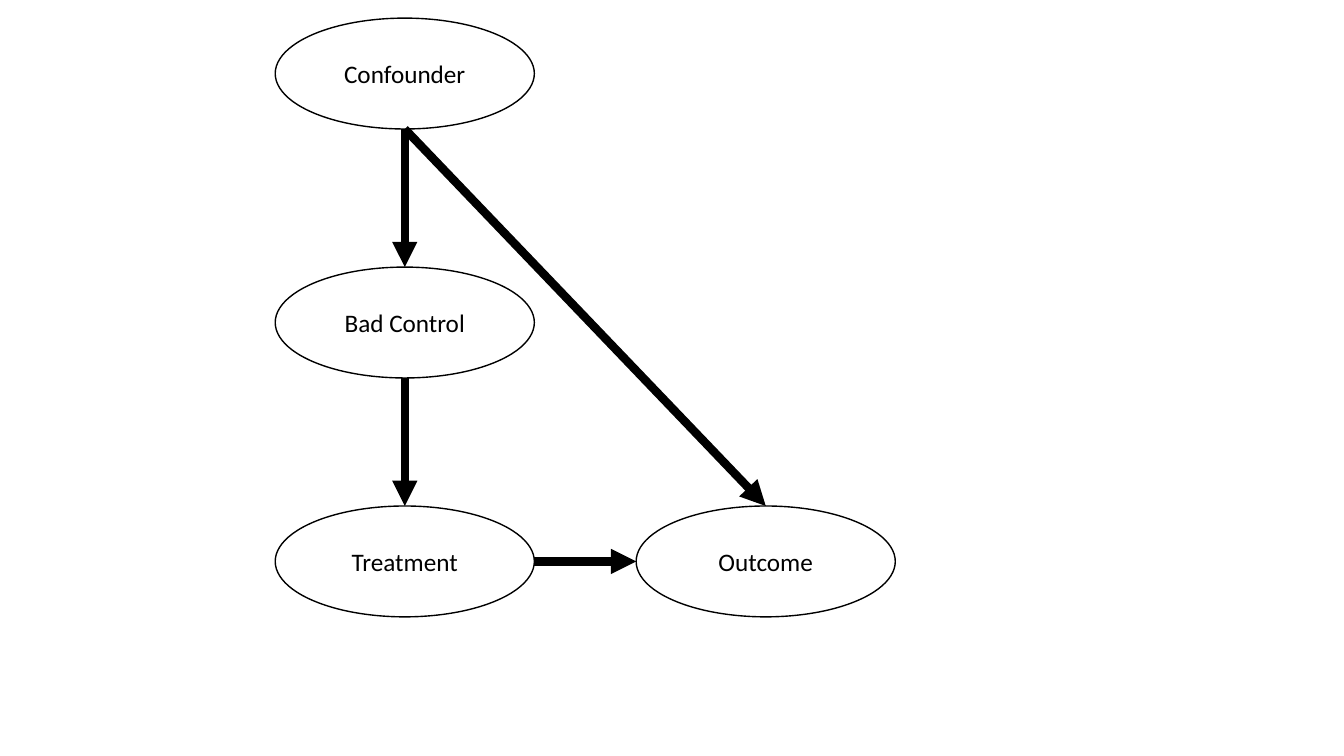
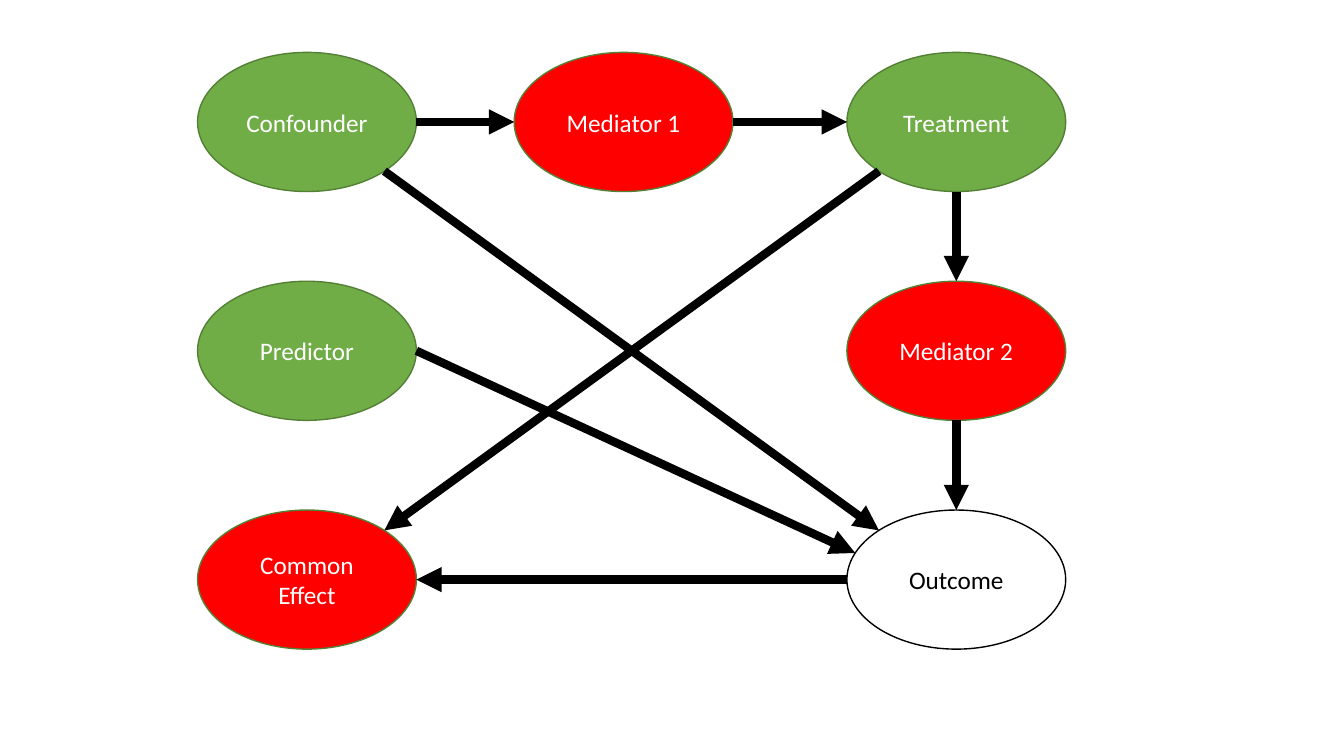
"""Build two causal diagrams of labelled ovals joined by arrows."""
from math import cos, pi, sin

from lxml.etree import SubElement
from pptx import Presentation
from pptx.dml.color import RGBColor
from pptx.enum.shapes import MSO_CONNECTOR, MSO_SHAPE
from pptx.enum.text import MSO_ANCHOR, PP_ALIGN
from pptx.oxml.ns import qn
from pptx.util import Inches, Pt

TOP, TOP_LEFT, LEFT, BOTTOM_LEFT, BOTTOM, BOTTOM_RIGHT, RIGHT, TOP_RIGHT = range(8)
UPPER_LEFT = (TOP_LEFT + LEFT) / 2


def colour(value):
    """Turn a hex string into a colour."""
    return RGBColor.from_string(value)


class Diagram:
    """Hold the shared style and the current slide."""

    FONT = {"name": "Calibri", "size": Pt(18)}
    FRAME = {"word_wrap": True, "vertical_anchor": MSO_ANCHOR.MIDDLE}
    KINDS = {
        "plain": ("FFFFFF", "000000", "000000"),
        "good": ("70AD47", "538035", "FFFFFF"),
        "bad": ("FF0000", "538035", "FFFFFF"),
    }

    def __init__(self):
        """Start a widescreen deck."""
        self.deck = Presentation()
        self.deck.slide_width = Inches(13.33)
        self.deck.slide_height = Inches(7.5)

    def new_page(self, width, height):
        """Add a blank slide and set the size of its ovals."""
        self.page = self.deck.slides.add_slide(self.deck.slide_layouts[6])
        self.oval_size = Inches(width), Inches(height)
        self.ovals = {}

    def outline(self, shape, line_colour, width):
        """Give a shape or connector a solid line."""
        shape.line.color.rgb = colour(line_colour)
        shape.line.width = Pt(width)

    def oval(self, label, left, top, kind="plain"):
        """Add a labelled oval."""
        fill, edge, ink = self.KINDS[kind]
        oval = self.page.shapes.add_shape(
            MSO_SHAPE.OVAL, Inches(left), Inches(top), *self.oval_size)
        oval.shadow.inherit = False
        oval.fill.solid()
        oval.fill.fore_color.rgb = colour(fill)
        self.outline(oval, edge, 1)
        for name, value in self.FRAME.items():
            setattr(oval.text_frame, name, value)
        para = oval.text_frame.paragraphs[0]
        para.alignment = PP_ALIGN.CENTER
        span = para.add_run()
        span.text = label
        for name, value in self.FONT.items():
            setattr(span.font, name, value)
        span.font.color.rgb = colour(ink)
        self.ovals[label] = oval

    def rim_point(self, label, site):
        """Find a point on an oval, in eighths of a turn left from the top."""
        oval, angle = self.ovals[label], site * pi / 4
        return (round(oval.left + oval.width * (1 - sin(angle)) / 2),
                round(oval.top + oval.height * (1 - cos(angle)) / 2))

    def arrow(self, start, start_site, end, end_site):
        """Join two ovals with an arrow, glued where a site exists."""
        arrow = self.page.shapes.add_connector(
            MSO_CONNECTOR.STRAIGHT,
            *self.rim_point(start, start_site), *self.rim_point(end, end_site))
        self.outline(arrow, "000000", 6)
        SubElement(arrow.line._get_or_add_ln(), qn("a:tailEnd"), type="triangle")
        SubElement(arrow._element.spPr, qn("a:effectLst"))
        glue = arrow._element.find(".//" + qn("p:cNvCxnSpPr"))
        for tag, label, site in (("a:stCxn", start, start_site),
                                 ("a:endCxn", end, end_site)):
            if site == int(site):
                SubElement(glue, qn(tag), id=str(self.ovals[label].shape_id),
                           idx=str(site))

    def draw(self, ovals, arrows):
        """Add all ovals, then all arrows."""
        for oval in ovals:
            self.oval(*oval)
        for arrow in arrows:
            self.arrow(*arrow)


diagram = Diagram()

diagram.new_page(2.57, 1.1)
diagram.draw(
    [("Confounder", 2.73, 0.18),
     ("Bad Control", 2.73, 2.65),
     ("Treatment", 2.73, 5.02),
     ("Outcome", 6.31, 5.02)],
    [("Confounder", BOTTOM, "Bad Control", TOP),
     ("Bad Control", BOTTOM, "Treatment", TOP),
     ("Confounder", BOTTOM, "Outcome", TOP),
     ("Treatment", RIGHT, "Outcome", LEFT)])

first, second, third = 1.96, 5.1, 8.4
upper, middle, lower = (0.52 + 2.27 * row for row in range(3))
diagram.new_page(2.17, 1.38)
diagram.draw(
    [("Confounder", first, upper, "good"),
     ("Mediator 1", second, upper, "bad"),
     ("Treatment", third, upper, "good"),
     ("Predictor", first, middle, "good"),
     ("Mediator 2", third, middle, "bad"),
     ("Common Effect", first, lower, "bad"),
     ("Outcome", third, lower)],
    [("Confounder", RIGHT, "Mediator 1", LEFT),
     ("Mediator 1", RIGHT, "Treatment", LEFT),
     ("Treatment", BOTTOM, "Mediator 2", TOP),
     ("Mediator 2", BOTTOM, "Outcome", TOP),
     ("Confounder", BOTTOM_RIGHT, "Outcome", TOP_LEFT),
     ("Treatment", BOTTOM_LEFT, "Common Effect", TOP_RIGHT),
     ("Outcome", LEFT, "Common Effect", RIGHT),
     ("Predictor", RIGHT, "Outcome", UPPER_LEFT)])

diagram.deck.save("out.pptx")
